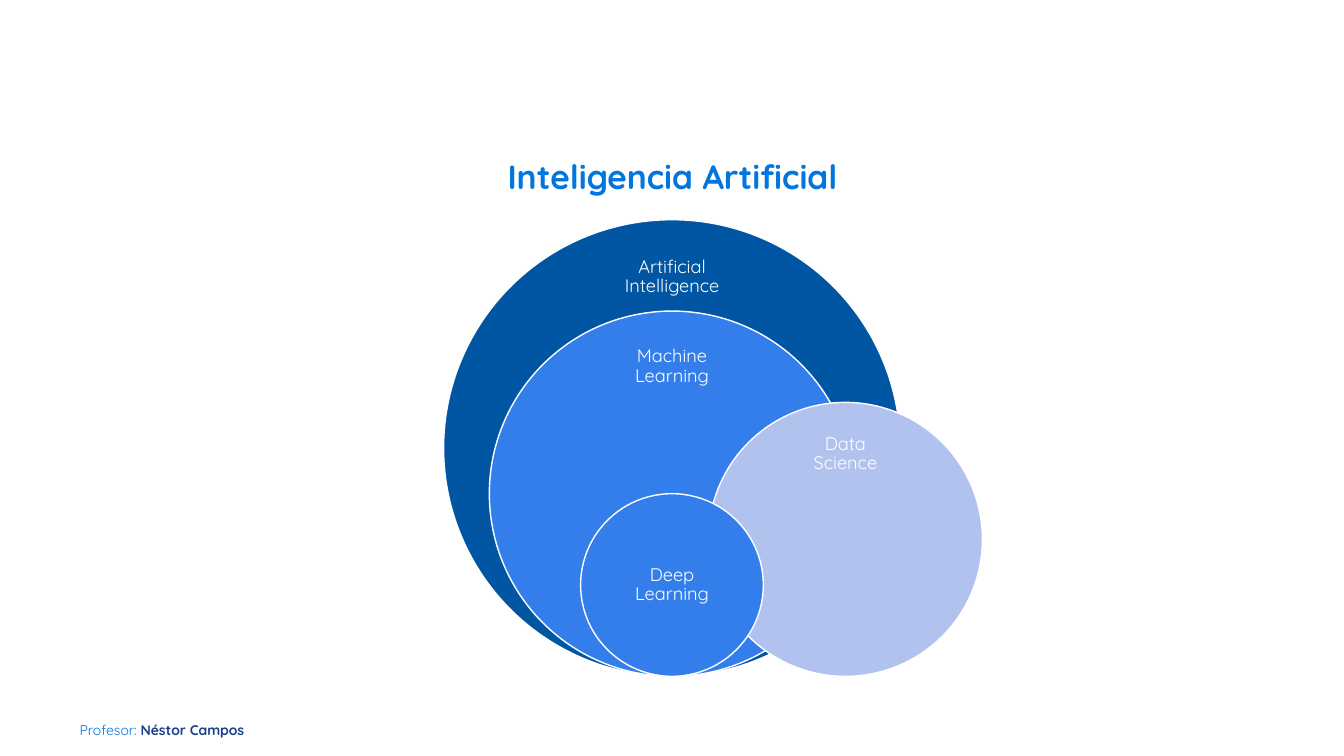
"""Build a slide of nested circles showing the fields of artificial intelligence."""
from dataclasses import dataclass

import pptx
import pptx.dml.color
import pptx.enum.shapes
import pptx.enum.text
import pptx.util

Inches = pptx.util.Inches
Align = pptx.enum.text.PP_ALIGN
Anchor = pptx.enum.text.MSO_ANCHOR

FONT = "Quicksand"
COLORS = {
    "white": "FFFFFF",
    "heading": "0176DE",
    "professor": "173F8A",
    "navy": "0056A2",
    "blue": "337EEB",
    "lavender": "B0C2ED",
}
OUTER_DIAMETER = 4.53
CIRCLES_BOTTOM = 6.71
LABEL_WIDTH = 1.27


@dataclass
class Field:
    name: str
    scale: float
    center: float
    color: str
    label_top: float
    label_height: float


FIELDS = [
    Field("Artificial Intelligence", 1.0, 6.665, "navy", 2.41, 0.68),
    Field("Machine Learning", 0.8, 6.665, "blue", 3.31, 0.65),
    Field("Data Science", 0.6, 8.385, "lavender", 4.2, 0.61),
    Field("Deep Learning", 0.4, 6.665, "blue", 5.35, 0.91),
]


def rgb(name: str) -> pptx.dml.color.RGBColor:
    return pptx.dml.color.RGBColor.from_string(COLORS[name])


def set_frame(frame, margin: float, anchor) -> None:
    frame.word_wrap = True
    frame.auto_size = pptx.enum.text.MSO_AUTO_SIZE.NONE
    frame.vertical_anchor = anchor
    frame.margin_left = frame.margin_right = Inches(margin)
    frame.margin_top = frame.margin_bottom = Inches(margin)


def style_run(run, size: float, color: str, bold: bool = False) -> None:
    run.font.name = FONT
    run.font.size = pptx.util.Pt(size)
    run.font.bold = bold
    run.font.color.rgb = rgb(color)


def add_title(slide, text: str) -> None:
    title = slide.shapes.title
    title.left, title.top = Inches(2.54), Inches(1.5)
    title.width, title.height = Inches(8.26), Inches(0.68)
    set_frame(title.text_frame, 0, Anchor.TOP)
    title.text_frame.text = text
    paragraph = title.text_frame.paragraphs[0]
    paragraph.alignment = Align.CENTER
    paragraph.line_spacing = 1.12
    style_run(paragraph.runs[0], 24, "heading", bold=True)


def add_credit(slide, role: str, professor: str) -> None:
    credit = slide.shapes.add_textbox(Inches(0.79), Inches(6.96), Inches(2), Inches(0.26))
    set_frame(credit.text_frame, 0, Anchor.TOP)
    paragraph = credit.text_frame.paragraphs[0]
    paragraph.line_spacing = 2.2
    paragraph.text = role
    style_run(paragraph.runs[0], 10, "heading")
    name = paragraph.add_run()
    name.text = professor
    style_run(name, 10, "professor", bold=True)


def add_field(slide, field: Field) -> None:
    diameter = OUTER_DIAMETER * field.scale
    circle = slide.shapes.add_shape(
        pptx.enum.shapes.MSO_SHAPE.OVAL,
        Inches(field.center - diameter / 2), Inches(CIRCLES_BOTTOM - diameter),
        Inches(diameter), Inches(diameter),
    )
    circle.shadow.inherit = False
    circle.fill.solid()
    circle.fill.fore_color.rgb = rgb(field.color)
    circle.line.color.rgb = rgb("white")
    circle.line.width = pptx.util.Pt(1)

    label = slide.shapes.add_textbox(
        Inches(field.center - LABEL_WIDTH / 2), Inches(field.label_top),
        Inches(LABEL_WIDTH), Inches(field.label_height),
    )
    set_frame(label.text_frame, 0.1, Anchor.MIDDLE)
    label.text_frame.text = field.name
    paragraph = label.text_frame.paragraphs[0]
    paragraph.alignment = Align.CENTER
    paragraph.line_spacing = 0.9
    style_run(paragraph.runs[0], 13, "white")


def main() -> None:
    presentation = pptx.Presentation()
    presentation.slide_width = Inches(13.33)
    presentation.slide_height = Inches(7.5)
    slide = presentation.slides.add_slide(presentation.slide_layouts.get_by_name("Title Only"))
    add_credit(slide, "Profesor: ", "Néstor Campos")
    add_title(slide, "Inteligencia Artificial")
    for field in FIELDS:
        add_field(slide, field)
    presentation.save("out.pptx")


if __name__ == "__main__":
    main()
